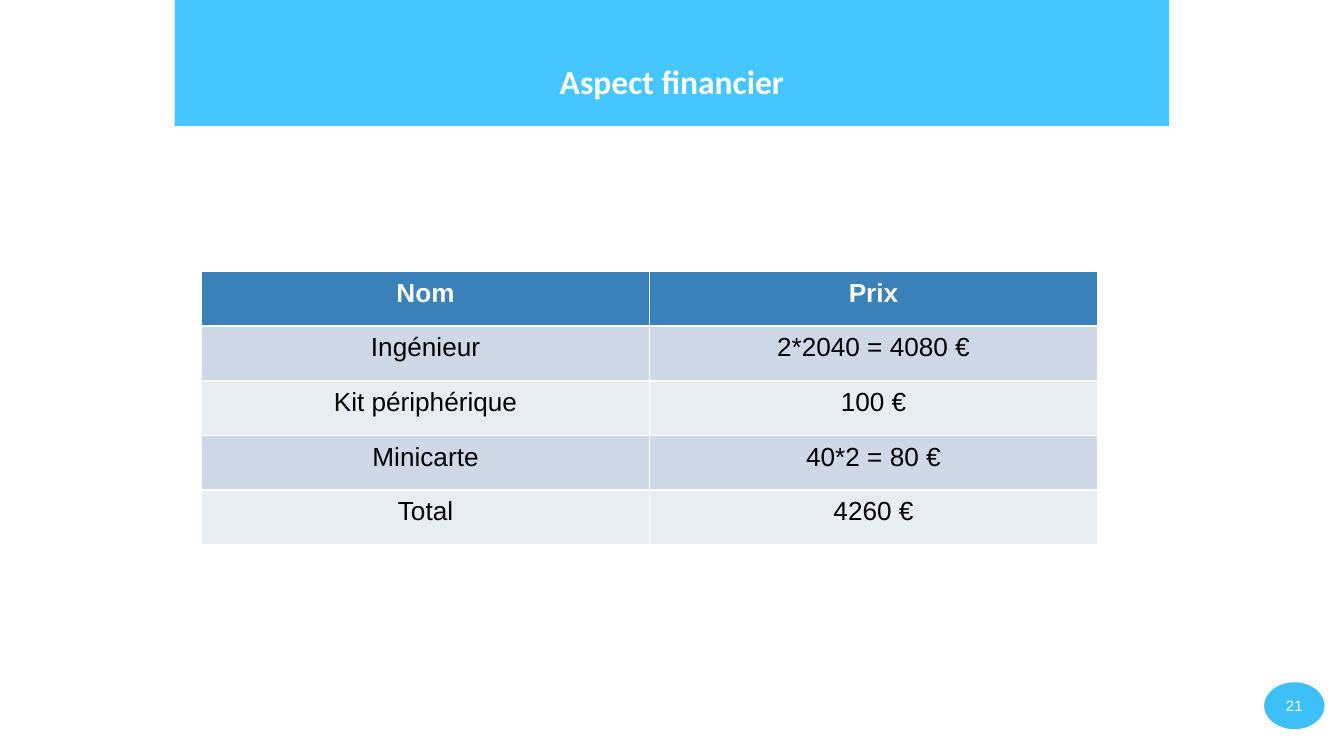
"""Build the slide on the project's costs: a title banner, a price table and a page number."""
from dataclasses import dataclass

from lxml import etree
from pptx import Presentation
from pptx.dml.color import RGBColor
from pptx.enum import shapes, text
from pptx.oxml import ns
from pptx.util import Pt


@dataclass(frozen=True)
class Theme:
    banner: str = "00B2FF"
    banner_alpha: int = 73
    header: str = "3A81BA"
    bands: tuple = ("CED8E7", "E8EDF3")
    badge: str = "3DC0F8"
    light: str = "FFFFFF"
    dark: str = "000000"
    title_font: str = "Calibri"
    body_font: str = "Arial"
    title_size: int = 18
    table_size: int = 14
    badge_size: int = 8


THEME = Theme()
PRICES = [
    ("Nom", "Prix"),
    ("Ingénieur", "2*2040 = 4080 €"),
    ("Kit périphérique", "100 €"),
    ("Minicarte", "40*2 = 80 €"),
    ("Total", "4260 €"),
]
ROW_HEIGHT = 29.3


def write(frame, words, font, size, color, bold=False):
    frame.text = words
    paragraph = frame.paragraphs[0]
    paragraph.alignment = text.PP_ALIGN.CENTER
    paragraph.font.name = font
    paragraph.font.size = Pt(size)
    paragraph.font.bold = bold
    paragraph.font.color.rgb = RGBColor.from_string(color)


def paint(fill, color):
    fill.solid()
    fill.fore_color.rgb = RGBColor.from_string(color)


def add_filled(slide, preset, box, color):
    shape = slide.shapes.add_shape(preset, *map(Pt, box))
    shape.shadow.inherit = False
    paint(shape.fill, color)
    return shape


def add_banner(slide):
    banner = add_filled(slide, shapes.MSO_SHAPE.RECTANGLE, (93.6, 0, 532.8, 67.5), THEME.banner)
    banner.line.fill.background()
    color = banner.fill._xPr.find(".//" + ns.qn("a:srgbClr"))
    etree.SubElement(color, ns.qn("a:alpha"), val=str(THEME.banner_alpha * 1000))


def add_title(slide, words):
    title = slide.shapes.add_textbox(*map(Pt, (93.6, 23.5, 532.8, 39.6)))
    frame = title.text_frame
    frame.word_wrap = True
    frame.vertical_anchor = text.MSO_ANCHOR.MIDDLE
    write(frame, words, THEME.title_font, THEME.title_size, THEME.light, bold=True)


def add_prices(slide, rows):
    box = (108, 145.5, 480, ROW_HEIGHT * len(rows))
    table = slide.shapes.add_table(len(rows), len(rows[0]), *map(Pt, box)).table
    for r, row in enumerate(rows):
        table.rows[r].height = Pt(ROW_HEIGHT)
        is_header = r == 0
        background = THEME.header if is_header else THEME.bands[(r - 1) % 2]
        color = THEME.light if is_header else THEME.dark
        for c, words in enumerate(row):
            cell = table.cell(r, c)
            paint(cell.fill, background)
            write(cell.text_frame, words, THEME.body_font, THEME.table_size, color, is_header)


def add_page_number(slide, number):
    badge = add_filled(slide, shapes.MSO_SHAPE.OVAL, (676.2, 364.5, 34.4, 27.2), THEME.badge)
    badge.line.color.rgb = RGBColor.from_string(THEME.light)
    badge.line.width = Pt(2)
    frame = badge.text_frame
    frame.margin_left = frame.margin_right = frame.margin_top = frame.margin_bottom = 0
    frame.vertical_anchor = text.MSO_ANCHOR.MIDDLE
    write(frame, number, THEME.body_font, THEME.badge_size, THEME.light)


def main():
    deck = Presentation()
    deck.slide_width, deck.slide_height = Pt(720), Pt(405)
    slide = deck.slides.add_slide(deck.slide_layouts[6])
    add_banner(slide)
    add_title(slide, "Aspect financier")
    add_prices(slide, PRICES)
    add_page_number(slide, "21")
    deck.save("out.pptx")


if __name__ == "__main__":
    main()
